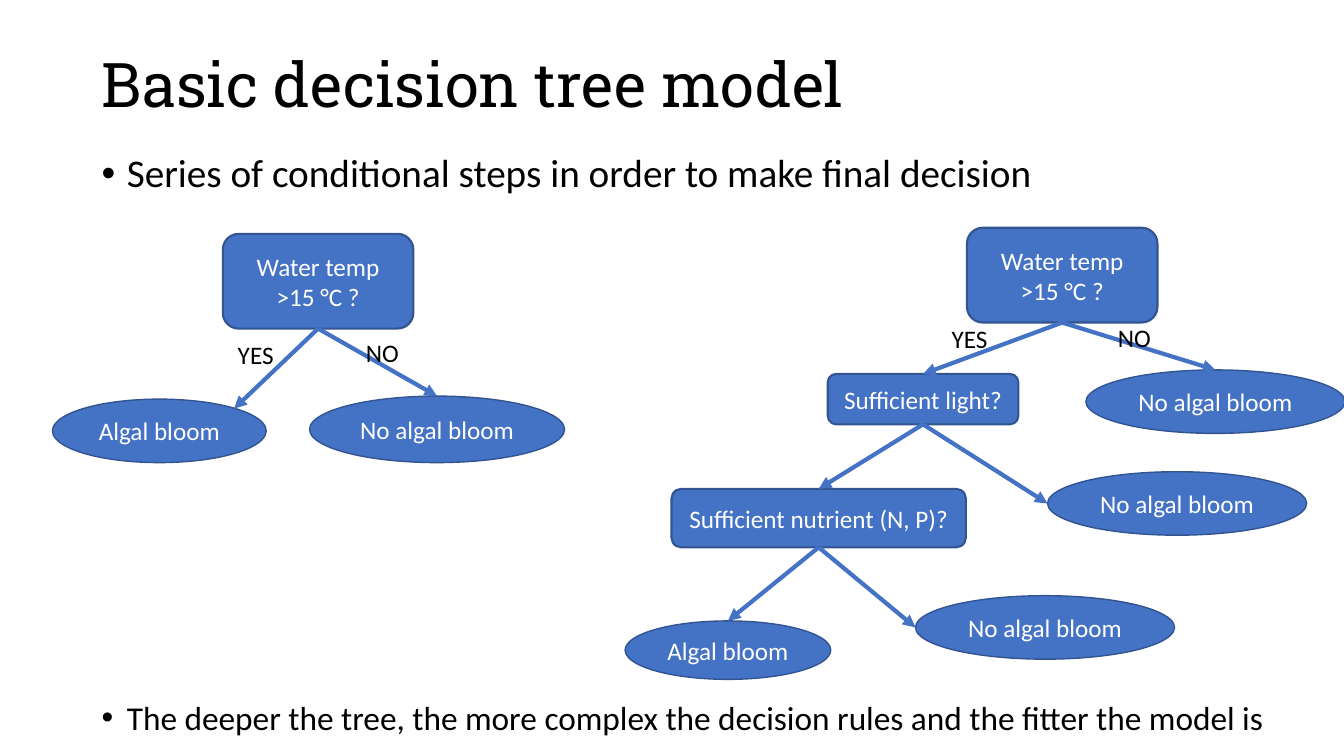
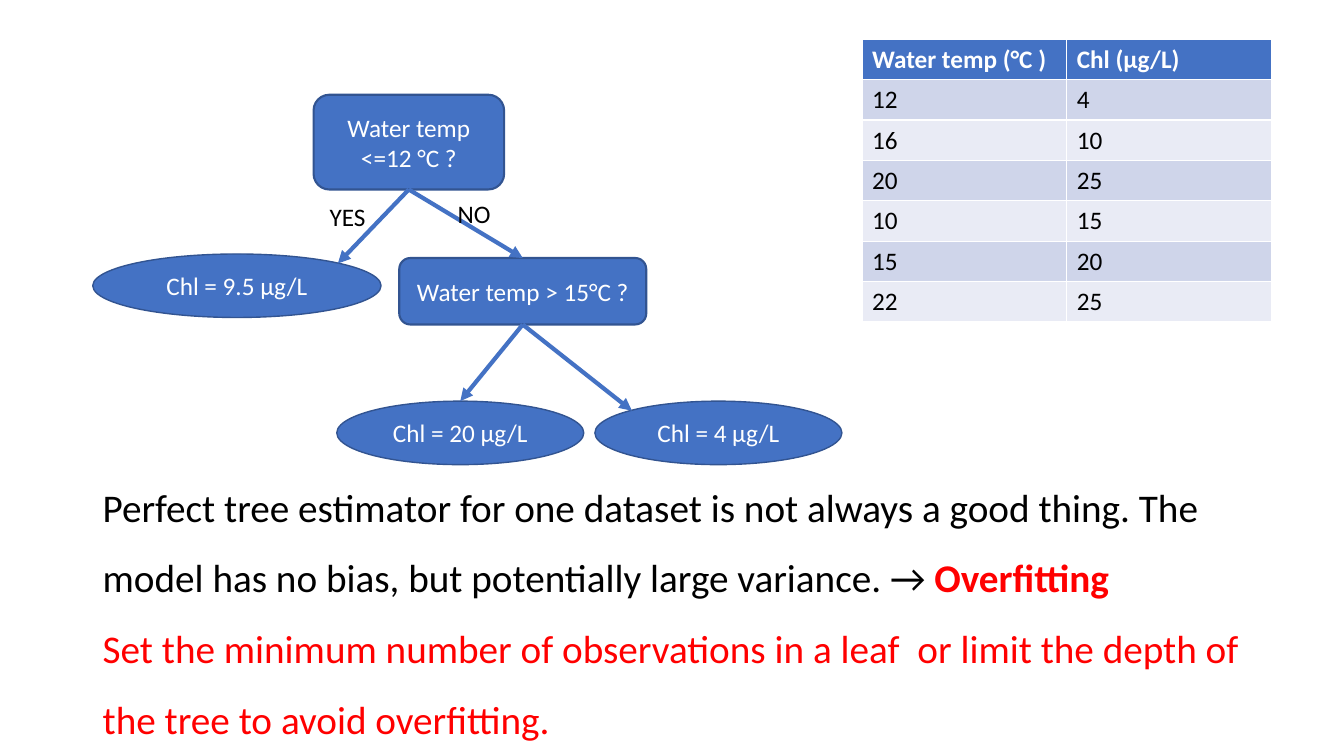
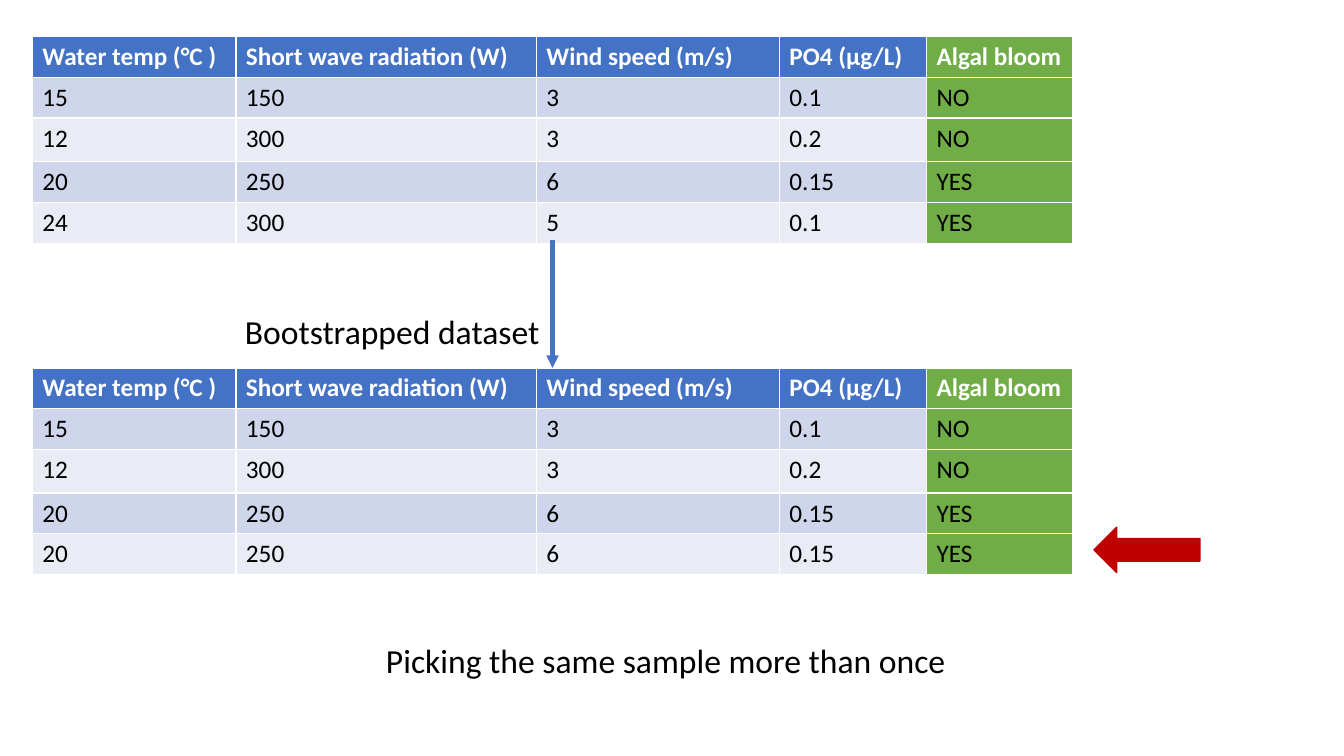
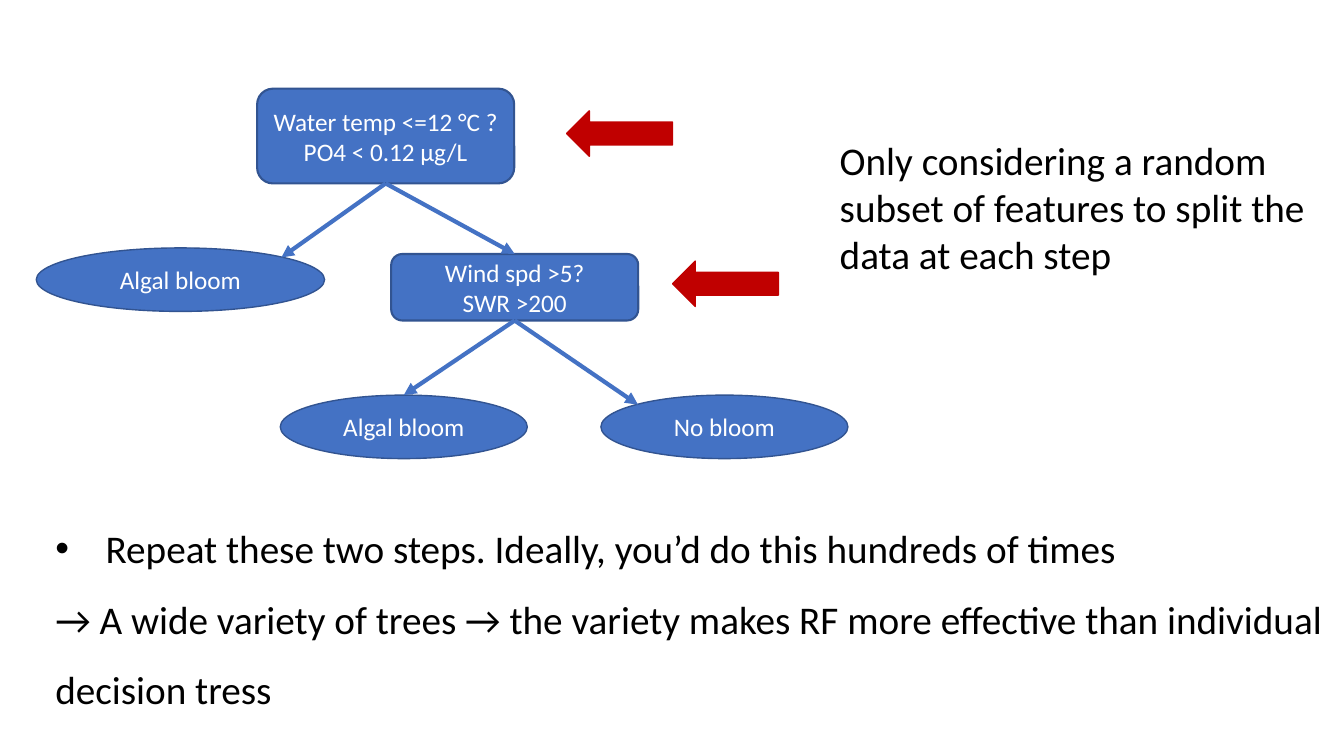
from dataclasses import dataclass

from lxml import etree
from pptx import Presentation
from pptx.dml.color import RGBColor
from pptx.enum.shapes import MSO_CONNECTOR, MSO_SHAPE
from pptx.enum.text import MSO_ANCHOR as Anchor, PP_ALIGN as Align
from pptx.oxml.ns import qn
from pptx.util import Emu, Pt

EMU_PER_PX = 9144
SLIDE_SIZE = (1333, 750)
TITLE_ONLY, BLANK = 5, 6

BLUE, DARK_BLUE, GREEN = "4472C4", "325491", "70AD47"
BAND, PALE_BAND = "CFD5EA", "E9EBF5"
BLACK, WHITE, RED, DARK_RED = "000000", "FFFFFF", "FF0000", "C00000"

BODY_FONT, TITLE_FONT = "Calibri", "Roboto Slab"

ENTRY_SITES = {
    "top": (0, 0.5, 0),
    "left": (2, 0, 0.5),
    "upper left": (1, 0.15, 0.15),
    "upper right": (7, 0.85, 0.15),
}

BLOOM_HEADER = ("Water temp (°C )", "Short wave radiation (W)", "Wind speed (m/s)",
                "PO4 (μg/L)", "Algal bloom")
BLOOM_SAMPLES = [
    ("15", "150", "3", "0.1", "NO"),
    ("12", "300", "3", "0.2", "NO"),
    ("20", "250", "6", "0.15", "YES"),
    ("24", "300", "5", "0.1", "YES"),
]


@dataclass
class Node:
    """A step of a decision tree; a node without children is an outcome."""
    text: str
    box: tuple
    children: tuple = ()
    entry: str = "top"
    answers: tuple = ()


def px(*lengths):
    """Turn px lengths into EMU."""
    return [Emu(round(length * EMU_PER_PX)) for length in lengths]


def color(value):
    """Turn a hex string into a colour."""
    return RGBColor.from_string(value)


def apply(target, formats):
    """Set each attribute named in the formats."""
    for name, value in formats.items():
        setattr(target, name, value)


def add_run(paragraph, text, size, fill=BLACK, bold=False, font=BODY_FONT):
    """Append formatted text to a paragraph."""
    run = paragraph.add_run()
    run.text = text
    apply(run.font, {"name": font, "size": Pt(size), "bold": bold})
    run.font.color.rgb = color(fill)


def add_bullet(paragraph, indent):
    """Give a paragraph a hanging bullet."""
    properties = paragraph._p.get_or_add_pPr()
    margin = px(indent)[0]
    properties.set("marL", str(margin))
    properties.set("indent", str(-margin))
    etree.SubElement(properties, qn("a:buFont")).set("typeface", "Arial")
    etree.SubElement(properties, qn("a:buChar")).set("char", "•")


def add_text(slide, box, paragraphs, size, bullet=0, **formats):
    """Place paragraphs of (text, colour, bold) runs; a bullet marks the first."""
    frame = slide.shapes.add_textbox(*px(*box)).text_frame
    frame.word_wrap = True
    for index, runs in enumerate(paragraphs):
        paragraph = frame.add_paragraph() if index else frame.paragraphs[0]
        apply(paragraph, formats)
        if bullet and index == 0:
            add_bullet(paragraph, bullet)
        for text, *style in runs:
            add_run(paragraph, text, size, *style)


def add_title(slide, box, text):
    """Fill and place the slide's title."""
    title = slide.shapes.title
    apply(title, dict(zip(("left", "top", "width", "height"), px(*box))))
    apply(title.text_frame, {"vertical_anchor": Anchor.MIDDLE, "word_wrap": True})
    paragraph = title.text_frame.paragraphs[0]
    apply(paragraph, {"alignment": Align.LEFT, "line_spacing": 0.9})
    add_run(paragraph, text, 44, font=TITLE_FONT)


def add_preset(slide, kind, box, fill, outline, line_width):
    """Place a filled and outlined preset shape."""
    shape = slide.shapes.add_shape(kind, *px(*box))
    shape.shadow.inherit = False
    shape.fill.solid()
    shape.fill.fore_color.rgb = color(fill)
    shape.line.color.rgb = color(outline)
    shape.line.width = Pt(line_width)
    return shape


def add_pointer(slide, left, top):
    """Place a red arrow pointing left."""
    add_preset(slide, MSO_SHAPE.LEFT_ARROW, (left, top, 105, 45), DARK_RED, DARK_RED, 1)


def add_arrow(slide, start, end):
    """Draw a blue arrow between two points in EMU."""
    connector = slide.shapes.add_connector(MSO_CONNECTOR.STRAIGHT, *start, *end)
    connector.line.color.rgb = color(BLUE)
    connector.line.width = Pt(3)
    etree.SubElement(connector.line._get_or_add_ln(), qn("a:tailEnd")).set("type", "triangle")
    etree.SubElement(connector.element.spPr, qn("a:effectLst"))
    return connector


def link(slide, parent, child, entry):
    """Draw an arrow from the parent's foot to a site of the child, glued to both."""
    site, across, down = ENTRY_SITES[entry]
    start = (parent.left + parent.width // 2, parent.top + parent.height)
    end = (child.left + round(child.width * across), child.top + round(child.height * down))
    connector = add_arrow(slide, start, end)
    properties = next(connector.element.iter(qn("p:cNvCxnSpPr")))
    for tag, shape, index in (("a:stCxn", parent, 2), ("a:endCxn", child, site)):
        glue = etree.SubElement(properties, qn(tag))
        glue.set("id", str(shape.shape_id))
        glue.set("idx", str(index))


def add_tree(slide, left, top, node):
    """Draw a node and all below it, relative to the tree's corner; return its shape."""
    x, y, width, height = node.box
    kind, line_width = (MSO_SHAPE.ROUNDED_RECTANGLE, 1.5) if node.children else (MSO_SHAPE.OVAL, 1)
    shape = add_preset(slide, kind, (left + x, top + y, width, height), BLUE, DARK_BLUE, line_width)
    frame = shape.text_frame
    apply(frame, {"vertical_anchor": Anchor.MIDDLE, "word_wrap": True})
    for index, line in enumerate(node.text.split("\n")):
        paragraph = frame.add_paragraph() if index else frame.paragraphs[0]
        paragraph.alignment = Align.CENTER
        add_run(paragraph, line, 18, WHITE)
    for child in node.children:
        link(slide, shape, add_tree(slide, left, top, child), child.entry)
    for answer, (x, y) in zip(("YES", "NO"), node.answers):
        add_text(slide, (left + x, top + y, 100, 40), [[(answer,)]], 18)
    return shape


def add_data_table(slide, left, top, widths, heights, rows, target_column=None):
    """Place a banded table with a header row and perhaps a green target column."""
    box = px(left, top, sum(widths), sum(heights))
    table = slide.shapes.add_table(len(rows), len(widths), *box).table
    for column, width in zip(table.columns, px(*widths)):
        column.width = width
    for row, height in zip(table.rows, px(*heights)):
        row.height = height
    for r, row in enumerate(rows):
        row_fill = (PALE_BAND, BAND)[r % 2] if r else BLUE
        for c, text in enumerate(row):
            cell = table.cell(r, c)
            cell.fill.solid()
            cell.fill.fore_color.rgb = color(GREEN if c == target_column else row_fill)
            paragraph = cell.text_frame.paragraphs[0]
            add_run(paragraph, text, 18, BLACK if r else WHITE, bold=r == 0)


def add_bloom_table(slide, left, top, samples):
    """Place a table of algal bloom samples."""
    add_data_table(slide, left, top, (202, 298, 241, 146, 145), (40, 40, 43, 40, 40),
                   [BLOOM_HEADER, *samples], target_column=4)


def basic_model_slide(slide):
    """Show a shallow and a deep decision tree."""
    add_title(slide, (91, 14, 1150, 145), "Basic decision tree model")
    add_text(slide, (91, 148, 1150, 60),
             [[("Series of conditional steps in order to make final decision",)]],
             28, bullet=25, line_spacing=0.9, space_before=Pt(10))
    question = "Water temp >15 °C ?"
    bloom, no_bloom = "Algal bloom", "No algal bloom"
    add_tree(slide, 52, 232, Node(question, (169, 0, 189, 94), (
        Node(bloom, (0, 164, 212, 63), entry="upper right"),
        Node(no_bloom, (255, 161, 253, 66)),
    ), answers=((174, 100), (301, 98))))
    nutrient = Node("Sufficient nutrient (N, P)?", (46, 259, 292, 58), (
        Node(bloom, (0, 390, 204, 58)),
        Node(no_bloom, (288, 365, 257, 63), entry="left"),
    ))
    light = Node("Sufficient light?", (201, 145, 189, 50), (
        nutrient,
        Node(no_bloom, (419, 242, 257, 63), entry="left"),
    ))
    add_tree(slide, 620, 226, Node(question, (339, 0, 189, 94), (
        light,
        Node(no_bloom, (457, 141, 257, 63)),
    ), answers=((314, 90), (479, 89))))
    add_text(slide, (91, 667, 1203, 84),
             [[("The deeper the tree, the more complex the decision rules "
                "and the fitter the model is",)]],
             23.8, bullet=25, line_spacing=1.5)


def overfitting_slide(slide):
    """Show a tree fitted to a small table, and its danger."""
    second_split = Node("Water temp > 15°C ?", (304, 162, 245, 66), (
        Node("Chl = 20 μg/L", (242, 304, 245, 63)),
        Node("Chl = 4 μg/L", (498, 304, 245, 63), entry="upper left"),
    ))
    add_tree(slide, 92, 94, Node("Water temp <=12 °C ?", (219, 0, 189, 94), (
        Node("Chl = 9.5 μg/L", (0, 158, 286, 63), entry="upper right"),
        second_split,
    ), answers=((225, 101), (352, 98))))
    add_data_table(slide, 855, 39, (203, 203), (40,) * 7, [
        ("Water temp (°C )", "Chl (μg/L)"),
        ("12", "4"), ("16", "10"), ("20", "25"), ("10", "15"), ("15", "20"), ("22", "25"),
    ])
    add_text(slide, (92, 451, 1169, 286), [
        [("Perfect tree estimator for one dataset is not always a good thing. "
          "The model has no bias, but potentially large variance. → ",),
         ("Overfitting", RED, True)],
        [("Set the minimum number of observations in a leaf  or limit the depth "
          "of the tree to avoid overfitting.", RED)],
    ], 28, line_spacing=1.5)


def bootstrap_slide(slide):
    """Show a dataset and its bootstrapped version."""
    add_bloom_table(slide, 32, 36, BLOOM_SAMPLES)
    add_bloom_table(slide, 32, 365, BLOOM_SAMPLES[:3] + BLOOM_SAMPLES[2:3])
    add_text(slide, (233, 304, 315, 50), [[("Bootstrapped dataset",)]], 24)
    add_arrow(slide, px(548, 238), px(548, 365))
    add_pointer(slide, 1085, 523)
    add_text(slide, (373, 630, 588, 50), [[("Picking the same sample more than once",)]], 24)


def random_features_slide(slide):
    """Show a tree whose splits consider random features."""
    second_split = Node("Wind spd >5?\nSWR >200", (352, 164, 245, 66), (
        Node("Algal bloom", (242, 304, 245, 63)),
        Node("No bloom", (560, 304, 245, 63), entry="upper left"),
    ))
    add_tree(slide, 36, 88, Node("Water temp <=12 °C ?\nPO4 < 0.12 μg/L", (219, 0, 255, 94), (
        Node("Algal bloom", (0, 158, 286, 63), entry="upper right"),
        second_split,
    )))
    add_pointer(slide, 562, 110)
    add_pointer(slide, 667, 259)
    add_text(slide, (823, 130, 499, 151),
             [[("Only considering a random subset of features to split the data at each step",)]],
             28)
    add_text(slide, (45, 492, 1277, 215), [
        [("Repeat these two steps. Ideally, you’d do this hundreds of times",)],
        [("→ A wide variety of trees → the variety makes RF more effective "
          "than individual decision tress",)],
    ], 28, bullet=50, line_spacing=1.5)


def main():
    """Build and save the presentation."""
    presentation = Presentation()
    presentation.slide_width, presentation.slide_height = px(*SLIDE_SIZE)
    for layout, build in (
        (TITLE_ONLY, basic_model_slide),
        (BLANK, overfitting_slide),
        (BLANK, bootstrap_slide),
        (BLANK, random_features_slide),
    ):
        build(presentation.slides.add_slide(presentation.slide_layouts[layout]))
    presentation.save("out.pptx")


if __name__ == "__main__":
    main()
